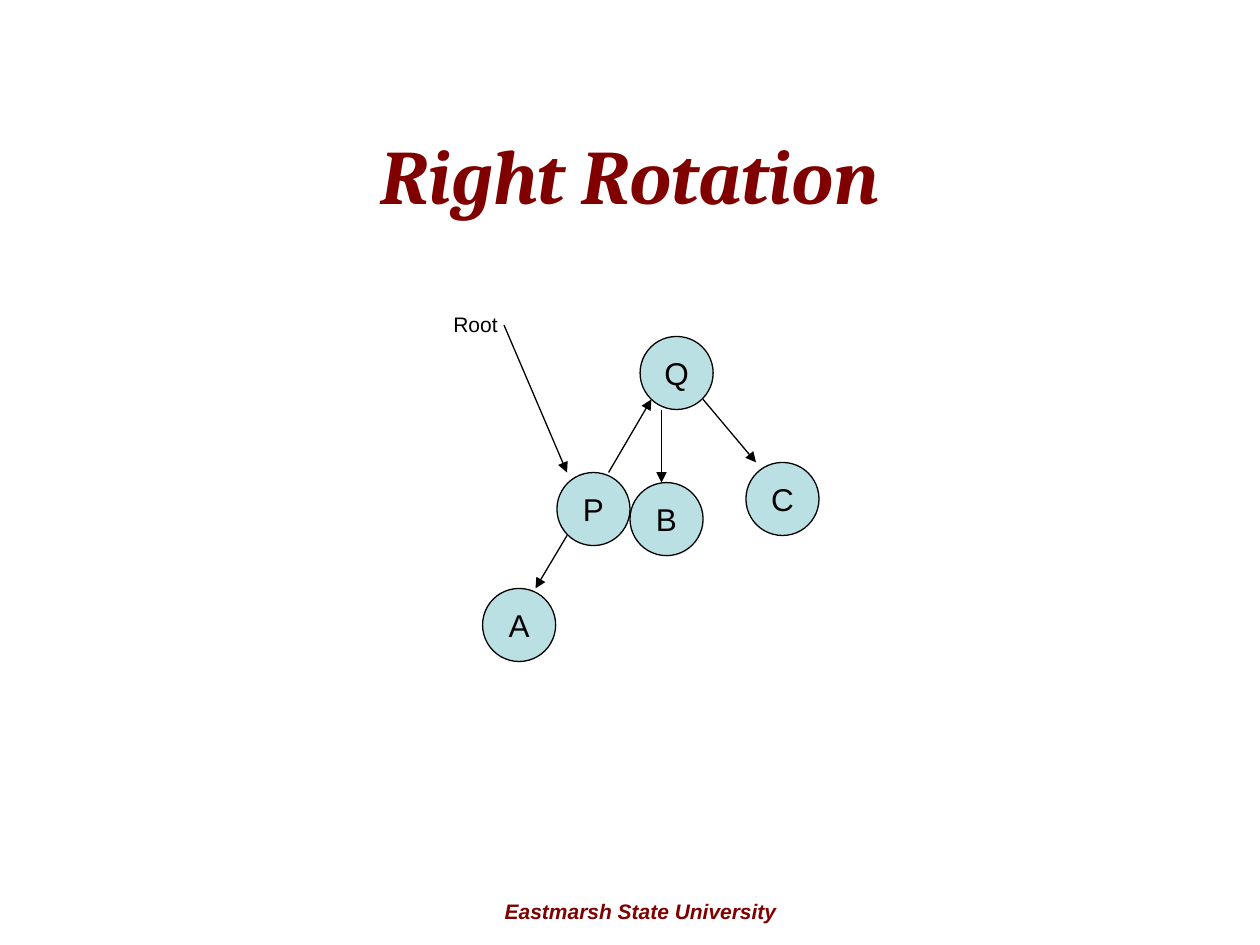
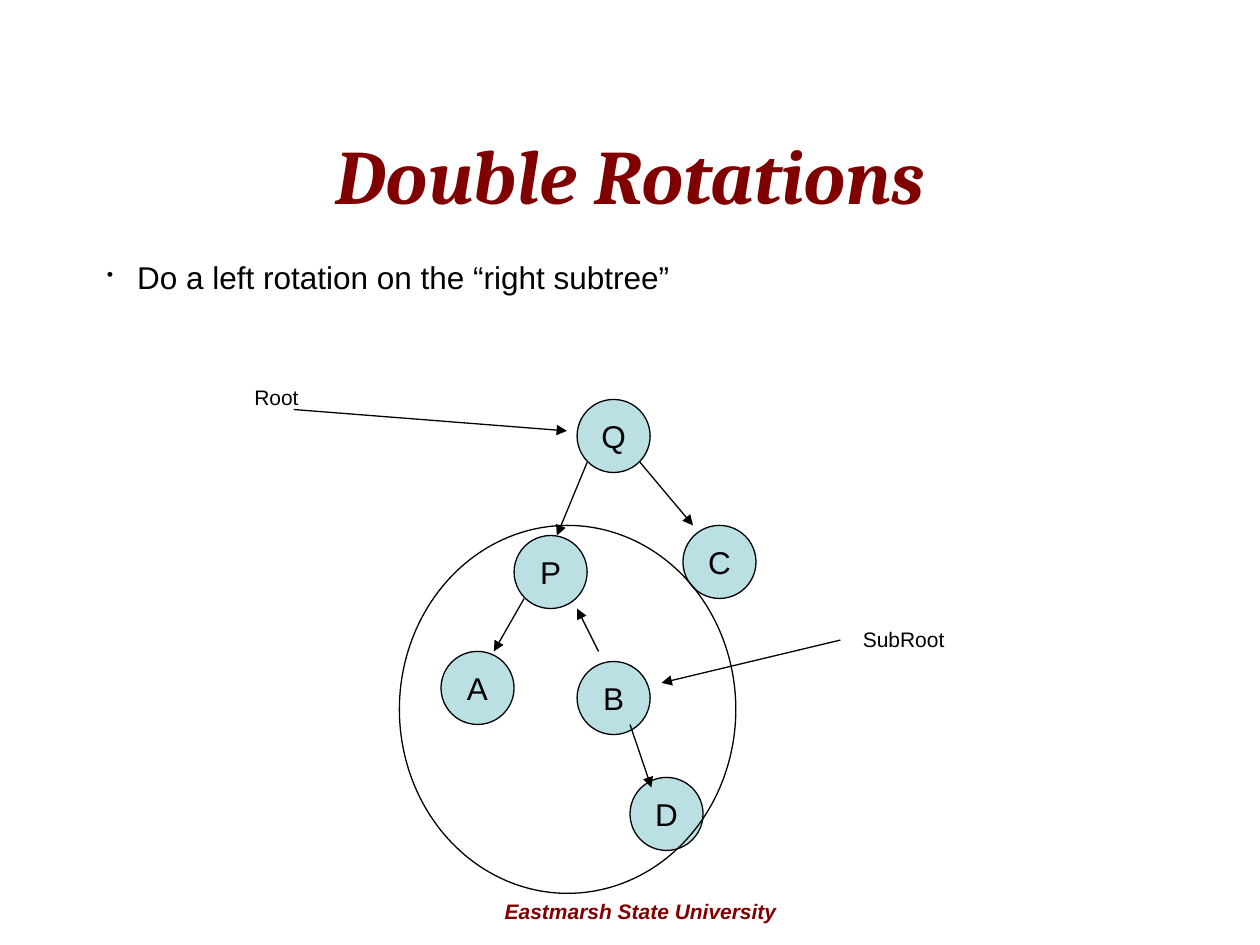
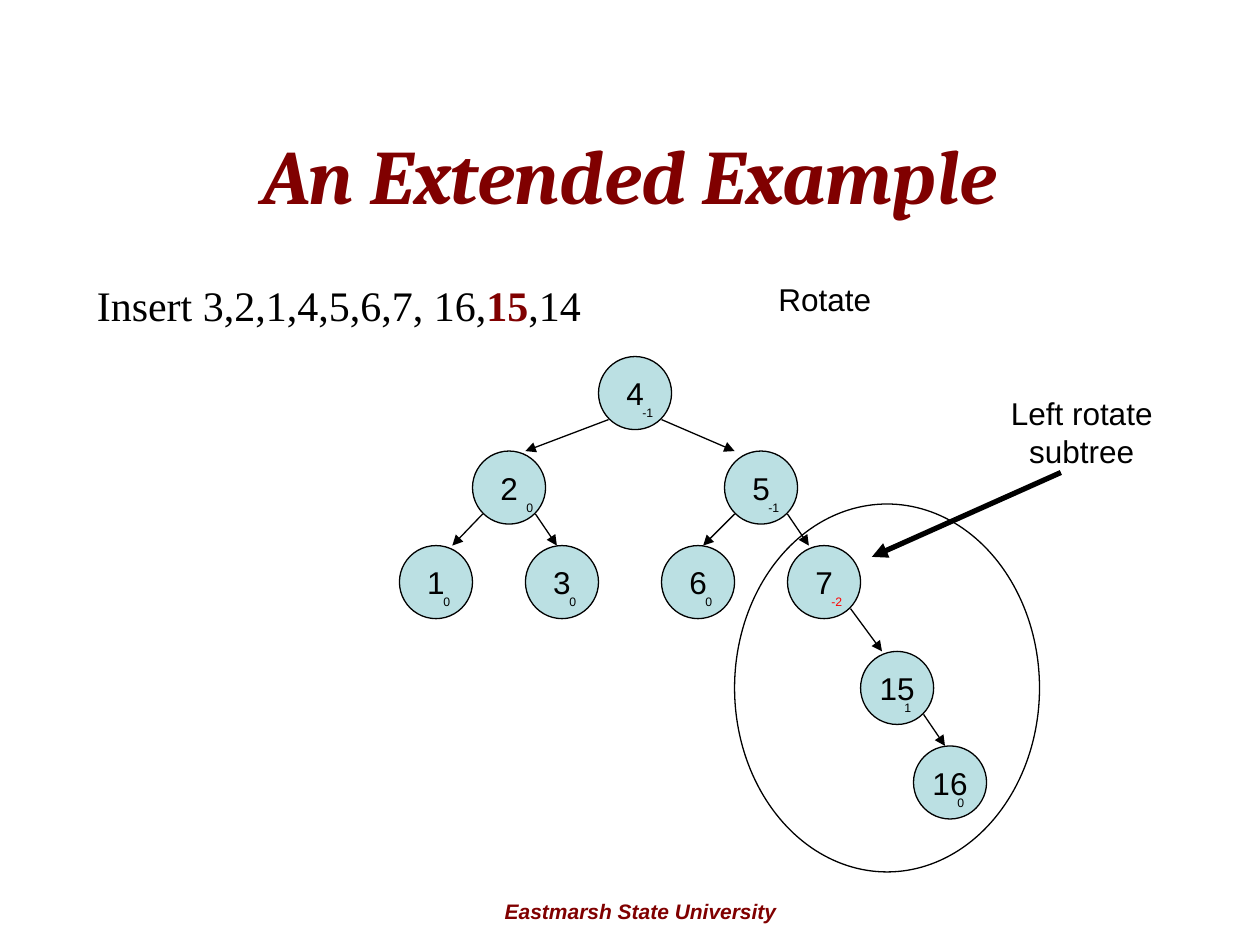
"""Builds three slides on tree rotations, each a title over a diagram of nodes and arrows."""
import dataclasses

import lxml.etree
import pptx
import pptx.dml.color
import pptx.enum.shapes
import pptx.enum.text
import pptx.oxml.ns
import pptx.util

Inches = pptx.util.Inches
Pt = pptx.util.Pt
ALIGN = pptx.enum.text.PP_ALIGN


@dataclasses.dataclass(frozen=True)
class Theme:
    accent: str = "800000"
    ink: str = "000000"
    alert: str = "FF0000"
    node_fill: str = "BBE0E3"
    title_font: str = "Cambria"
    body_font: str = "Arial"
    serif_font: str = "Times New Roman"
    title_size: int = 44
    lead_size: int = 24
    body_size: int = 18
    small_size: int = 12
    balance_size: int = 7
    thin: float = 0.74
    thick: float = 3
    space_ratio: float = 0.625


THEME = Theme()
NODE = 0.58
CORNER_NEAR, CORNER_FAR = 0.08, 0.5
TITLE_BOX = (0.5, 0.75, 9, 1.25)
FOOTER = "Eastmarsh State University"
FOOTER_BOX = (3.5, 7.08, 3.17, 0.3)

SMALL = {"size": THEME.small_size}

# nodes: left, top; edges: parent, child, landing offset; arrows: from, to, width
SLIDES = [
    {
        "title": "Right Rotation",
        "nodes": {"Q": (5.08, 2.67), "P": (4.42, 3.75), "A": (3.83, 4.67),
                  "B": (5, 3.83), "C": (5.92, 3.67)},
        "edges": [("P", "A", 0.42), ("Q", "C", 0.08)],
        "arrows": [((4, 2.58), (4.5, 3.75), THEME.thin),
                   ((5.25, 3.25), (5.25, 3.83), THEME.thin),
                   ((4.83, 3.75), (5.17, 3.17), THEME.thin)],
        "labels": [((3.5, 2.42, 0.67, 0.3), ["Root"], SMALL)],
    },
    {
        "title": "Double Rotations",
        "nodes": {"Q": (4.58, 3.17), "P": (4.08, 4.25), "A": (3.5, 5.17),
                  "B": (4.58, 5.25), "C": (5.42, 4.17), "D": (5, 6.17)},
        "edges": [("Q", "P", 0.34), ("P", "A", 0.42), ("Q", "C", 0.08)],
        "arrows": [((2.33, 3.25), (4.5, 3.42), THEME.thin),
                   ((4.75, 5.17), (4.58, 4.83), THEME.thin),
                   ((5, 5.75), (5.17, 6.25), THEME.thin),
                   ((6.67, 5.08), (5.25, 5.42), THEME.thin)],
        "labels": [((0.75, 2, 8.58, 0.4), ["Do a left rotation on the “right subtree”"],
                    {"bullet": True}),
                   ((1.92, 3, 0.67, 0.3), ["Root"], SMALL),
                   ((6.75, 4.92, 1, 0.3), ["SubRoot"], SMALL)],
        "ring": (3.17, 4.17, 2.67, 2.92),
    },
    {
        "title": "An Extended Example",
        "nodes": {"4": (4.75, 2.83), "2": (3.75, 3.58), "5": (5.75, 3.58),
                  "1": (3.17, 4.33), "3": (4.17, 4.33), "6": (5.25, 4.33),
                  "7": (6.25, 4.33), "15": (6.83, 5.17), "16": (7.25, 5.92)},
        "edges": [("4", "2", 0.42), ("4", "5", 0.08), ("2", "1", 0.42), ("2", "3", 0.25),
                  ("5", "6", 0.33), ("5", "7", 0.17), ("7", "15", 0.17), ("15", "16", 0.25)],
        "balances": {"4": "-1", "2": "0", "5": "-1", "1": "0", "3": "0", "6": "0",
                     "7": "-2", "15": "1", "16": "0"},
        "balance_shifts": {"2": 0.33},
        "arrows": [((8.42, 3.75), (6.92, 4.42), THEME.thick)],
        "labels": [((0.67, 2.17, 7.08, 0.5), ["Insert 3,2,1,4,5,6,7, 16,", "15", ",14"],
                    {"size": THEME.lead_size, "font": THEME.serif_font, "strong": "15"}),
                   ((6.08, 2.17, 3.33, 0.4), ["Rotate"], {}),
                   ((7.67, 3.08, 1.83, 0.7), ["Left rotate subtree"], {"align": ALIGN.CENTER})],
        "ring": (5.83, 4, 2.42, 2.92),
    },
]


def rgb(colour):
    return pptx.dml.color.RGBColor.from_string(colour)


def inches(values):
    return [Inches(value) for value in values]


def format_run(run, size, font=THEME.body_font, colour=THEME.ink, bold=False, italic=False):
    run.font.size, run.font.name = Pt(size), font
    run.font.bold, run.font.italic = bold, italic
    run.font.color.rgb = rgb(colour)


def add_bullet(paragraph):
    props = paragraph._p.get_or_add_pPr()
    indent = Inches(0.24)
    props.set("marL", str(indent))
    props.set("indent", str(-indent))
    qn = pptx.oxml.ns.qn
    lxml.etree.SubElement(props, qn("a:buSzPct"), val="60000")
    lxml.etree.SubElement(props, qn("a:buChar"), char="•")


def add_label(slide, box, pieces, size=THEME.body_size, font=THEME.body_font,
              colour=THEME.ink, align=ALIGN.LEFT, strong=None, bullet=False,
              bold=False, italic=False):
    frame = slide.shapes.add_textbox(*inches(box)).text_frame
    frame.word_wrap = True
    frame.auto_size = pptx.enum.text.MSO_AUTO_SIZE.SHAPE_TO_FIT_TEXT
    paragraph = frame.paragraphs[0]
    paragraph.alignment = align
    paragraph.space_before = Pt(size * THEME.space_ratio)
    for piece in pieces:
        run = paragraph.add_run()
        run.text = piece
        marked = piece == strong
        format_run(run, size, font, THEME.accent if marked else colour, bold or marked, italic)
    if bullet:
        add_bullet(paragraph)


def add_ellipse(slide, box, fill=None):
    ellipse = slide.shapes.add_shape(pptx.enum.shapes.MSO_SHAPE.OVAL, *inches(box))
    ellipse.shadow.inherit = False
    ellipse.line.color.rgb = rgb(THEME.ink)
    ellipse.line.width = Pt(THEME.thin)
    if fill:
        ellipse.fill.solid()
        ellipse.fill.fore_color.rgb = rgb(fill)
    else:
        ellipse.fill.background()
    return ellipse


def add_node(slide, key, corner):
    frame = add_ellipse(slide, (*corner, NODE, NODE), THEME.node_fill).text_frame
    frame.text = key
    frame.word_wrap = False
    frame.vertical_anchor = pptx.enum.text.MSO_ANCHOR.MIDDLE
    frame.paragraphs[0].alignment = ALIGN.CENTER
    format_run(frame.paragraphs[0].runs[0], THEME.body_size)


def add_balance(slide, value, corner, shift):
    box = (corner[0] + shift, corner[1] + 0.34, NODE - 0.25, 0.22)
    colour = THEME.alert if abs(int(value)) > 1 else THEME.ink
    add_label(slide, box, [value], THEME.balance_size, colour=colour)


def add_arrow(slide, start, end, width):
    arrow = slide.shapes.add_connector(
        pptx.enum.shapes.MSO_CONNECTOR.STRAIGHT, *inches((*start, *end)))
    arrow.line.color.rgb = rgb(THEME.ink)
    arrow.line.width = Pt(width)
    qn = pptx.oxml.ns.qn
    lxml.etree.SubElement(arrow.line._get_or_add_ln(), qn("a:tailEnd"), type="triangle")
    lxml.etree.SubElement(arrow._element.spPr, qn("a:effectLst"))


def add_edge(slide, parent, child, landing):
    corner = CORNER_FAR if child[0] > parent[0] else CORNER_NEAR
    start = (parent[0] + corner, parent[1] + CORNER_FAR)
    add_arrow(slide, start, (child[0] + landing, child[1]), THEME.thin)


def add_title(slide, text):
    title = slide.shapes.title
    title.left, title.top, title.width, title.height = inches(TITLE_BOX)
    frame = title.text_frame
    frame.text = text
    frame.vertical_anchor = pptx.enum.text.MSO_ANCHOR.MIDDLE
    frame.paragraphs[0].alignment = ALIGN.CENTER
    format_run(frame.paragraphs[0].runs[0], THEME.title_size, THEME.title_font,
               THEME.accent, bold=True, italic=True)


def build_slide(deck, content):
    slide = deck.slides.add_slide(deck.slide_layouts.get_by_name("Title Only"))
    add_title(slide, content["title"])
    add_label(slide, FOOTER_BOX, [FOOTER], THEME.small_size, colour=THEME.accent,
              align=ALIGN.CENTER, bold=True, italic=True)
    nodes = content["nodes"]
    for key, corner in nodes.items():
        add_node(slide, key, corner)
    for key, value in content.get("balances", {}).items():
        add_balance(slide, value, nodes[key], content["balance_shifts"].get(key, 0.25))
    for box, pieces, style in content["labels"]:
        add_label(slide, box, pieces, **style)
    for parent, child, landing in content["edges"]:
        add_edge(slide, nodes[parent], nodes[child], landing)
    for start, end, width in content["arrows"]:
        add_arrow(slide, start, end, width)
    if "ring" in content:
        add_ellipse(slide, content["ring"])


deck = pptx.Presentation()
deck.slide_width, deck.slide_height = Inches(10), Inches(7.5)
for content in SLIDES:
    build_slide(deck, content)
deck.save("out.pptx")
